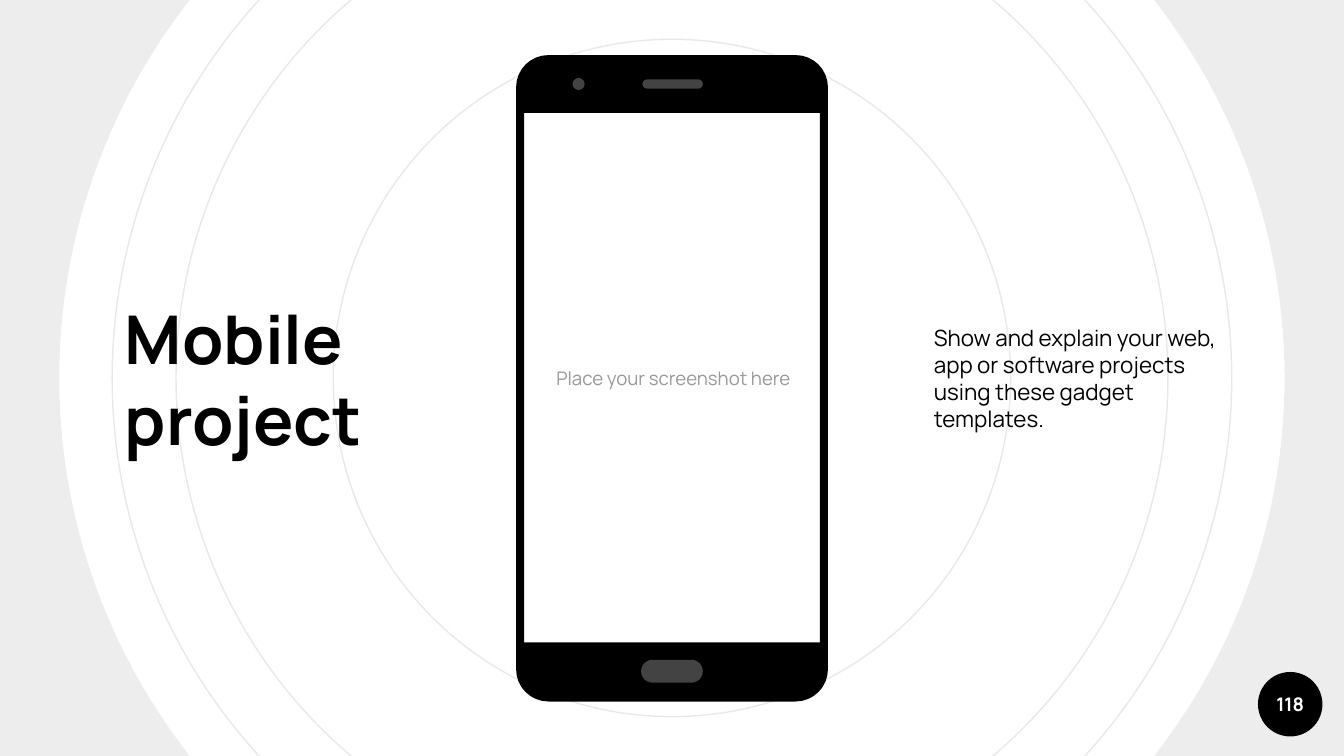
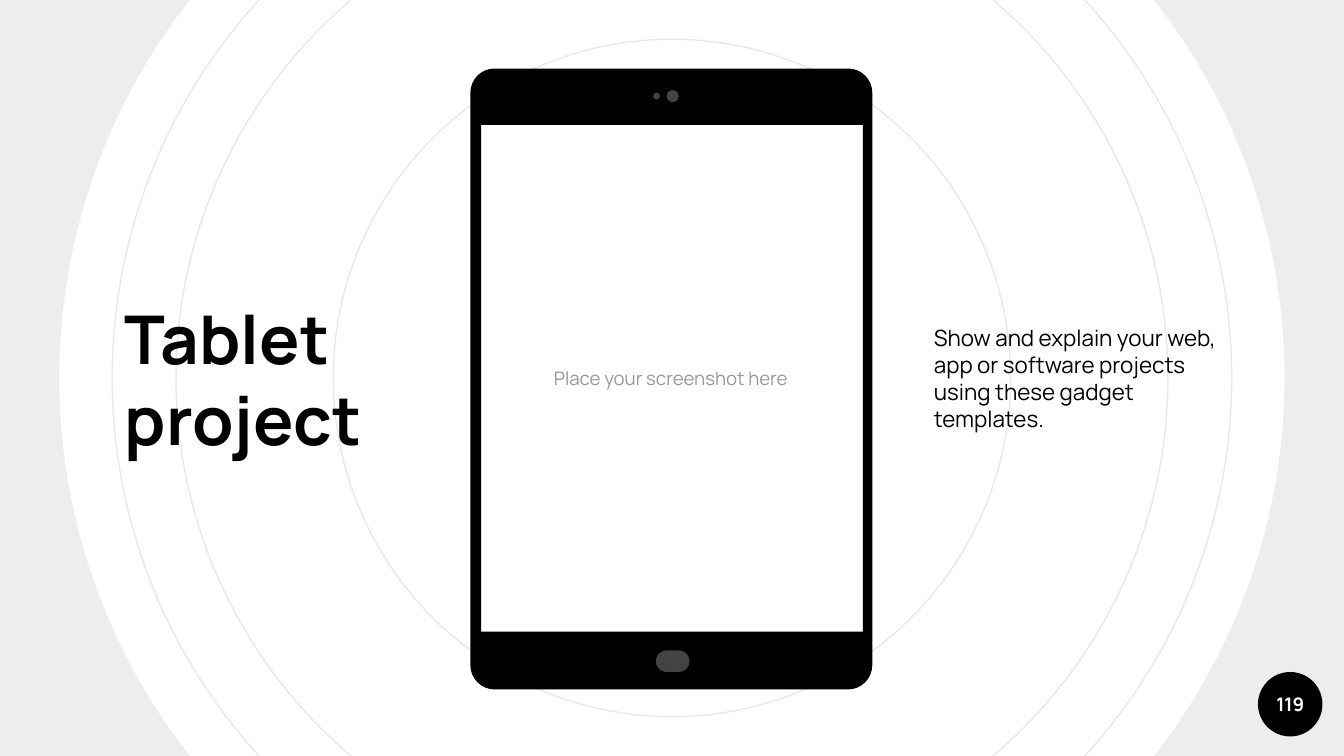
from dataclasses import dataclass
from math import cos, radians, sin

from lxml.etree import SubElement
from pptx import Presentation
from pptx.dml.color import RGBColor as Rgb
from pptx.enum.shapes import MSO_SHAPE as Kind
from pptx.enum.text import MSO_ANCHOR as Anchor, PP_ALIGN as Align
from pptx.oxml.ns import qn
from pptx.util import Inches, Pt


@dataclass(frozen=True)
class Theme:
    font: str = "Manrope"
    ink: str = "000000"
    paper: str = "FFFFFF"
    ring: str = "E8E8E8"
    key: str = "434343"
    hint: str = "999999"
    big: int = 36
    body: int = 12
    small: int = 10
    thin: float = 0.75


@dataclass(frozen=True)
class Device:
    title: str
    page: str
    frame: tuple
    screen: tuple
    hint: tuple
    curve: float
    pills: tuple
    dots: tuple


THEME = Theme()
WIDE = 10
HIGH = WIDE * 9 / 16
MID_X, MID_Y = WIDE / 2, HIGH / 2
RINGS = (8.33, 7.38, 5.04)
BAND = 11.54
BADGE = (9.36, 5, 0.48, 0.48)
LEFT = (0.83, 0.49, 2.32, 4.65)
RIGHT = (6.85, 0.49, 2.32, 4.65)
HINT = "Place your screenshot here"
BLURB = "Show and explain your web, app or software projects using these gadget templates."

PHONE = Device(
    title="Mobile project", page="118",
    frame=(3.84, 0.41, 2.32, 4.81), screen=(3.9, 0.84, 2.2, 3.94),
    hint=(3.91, 0.86, 2.2, 3.91), curve=0.24,
    pills=((4.77, 4.91, 0.46, 0.17), (4.78, 0.59, 0.45, 0.07)),
    dots=((4.26, 0.58, 0.09, 0.09),),
)
TABLET = Device(
    title="Tablet project", page="119",
    frame=(3.5, 0.51, 2.99, 4.62), screen=(3.58, 0.93, 2.84, 3.77),
    hint=(3.57, 0.93, 2.84, 3.76), curve=0.18,
    pills=((4.88, 4.84, 0.25, 0.16),),
    dots=((4.86, 0.69, 0.05, 0.05), (4.96, 0.67, 0.09, 0.09)),
)


def paint(shape, fill=None, line=None):
    shape.shadow.inherit = False
    if fill:
        shape.fill.solid()
        shape.fill.fore_color.rgb = Rgb.from_string(fill)
    else:
        shape.fill.background()
    if line:
        shape.line.color.rgb = Rgb.from_string(line)
        shape.line.width = Pt(THEME.thin)
    else:
        shape.line.fill.background()
    return shape


def add_form(shapes, kind, box, fill=None, line=None):
    return paint(shapes.add_shape(kind, *map(Inches, box)), fill, line)


def centre(size):
    return MID_X - size / 2, MID_Y - size / 2, size, size


def add_text(slide, box, text, size, color, bold=False, align=Align.LEFT, gap=0):
    frame = slide.shapes.add_textbox(*map(Inches, box)).text_frame
    frame.word_wrap = True
    frame.vertical_anchor = Anchor.MIDDLE
    frame.margin_left = frame.margin_right = Inches(0.1)
    frame.margin_top = frame.margin_bottom = Inches(0.1)
    frame.text = text
    para = frame.paragraphs[0]
    para.alignment = align
    para.space_before = Pt(gap)
    font = para.runs[0].font
    font.name, font.size, font.bold = THEME.font, Pt(size), bold
    font.color.rgb = Rgb.from_string(color)


def add_back(slide):
    for size in RINGS:
        add_form(slide.shapes, Kind.OVAL, centre(size), line=THEME.ring)
    band = add_form(slide.shapes, Kind.DONUT, centre(BAND), THEME.ink)
    band.adjustments[0] = 0.105
    tint = band.element.spPr.find(qn("a:solidFill"))[0]
    SubElement(tint, qn("a:alpha")).set("val", "7000")


def add_badge(slide, page):
    add_form(slide.shapes, Kind.OVAL, BADGE, THEME.ink)
    add_text(slide, BADGE, page, THEME.small, THEME.paper, True, Align.CENTER)


def round_edge(box, curve, steps=8):
    left, top, width, height = box
    near, far = left + curve, left + width - curve
    high, low = top + curve, top + height - curve
    hubs = ((near, high, 270), (near, low, 180), (far, low, 90), (far, high, 0))
    return [
        (x + curve * cos(radians(start - 90 * i / steps)),
         y + curve * sin(radians(start - 90 * i / steps)))
        for x, y, start in hubs for i in range(steps + 1)
    ]


def to_units(points):
    return [(Inches(x), Inches(y)) for x, y in points]


def add_case(shapes, device):
    left, top, width, height = device.screen
    right, low = left + width, top + height
    hole = to_units([(right, top), (right, low), (left, low), (left, top)])
    edge = to_units(round_edge(device.frame, device.curve))
    pen = shapes.build_freeform(*hole[0])
    pen.add_line_segments(hole[1:], close=True)
    pen.move_to(*edge[0])
    pen.add_line_segments(edge[1:], close=True)
    paint(pen.convert_to_shape(), THEME.ink)


def add_device(slide, device):
    add_text(slide, device.hint, HINT, THEME.small, THEME.hint, align=Align.CENTER)
    shapes = slide.shapes.add_group_shape().shapes
    add_case(shapes, device)
    for box in device.pills:
        add_form(shapes, Kind.ROUNDED_RECTANGLE, box, THEME.key).adjustments[0] = 0.5
    for box in device.dots:
        add_form(shapes, Kind.OVAL, box, THEME.key)


def main():
    deck = Presentation()
    deck.slide_width, deck.slide_height = Inches(WIDE), Inches(HIGH)
    for device in (PHONE, TABLET):
        slide = deck.slides.add_slide(deck.slide_layouts[6])
        add_back(slide)
        add_badge(slide, device.page)
        add_text(slide, LEFT, device.title, THEME.big, THEME.ink, True, gap=6)
        add_device(slide, device)
        add_text(slide, RIGHT, BLURB, THEME.body, THEME.ink, gap=6)
    deck.save("out.pptx")


if __name__ == "__main__":
    main()
